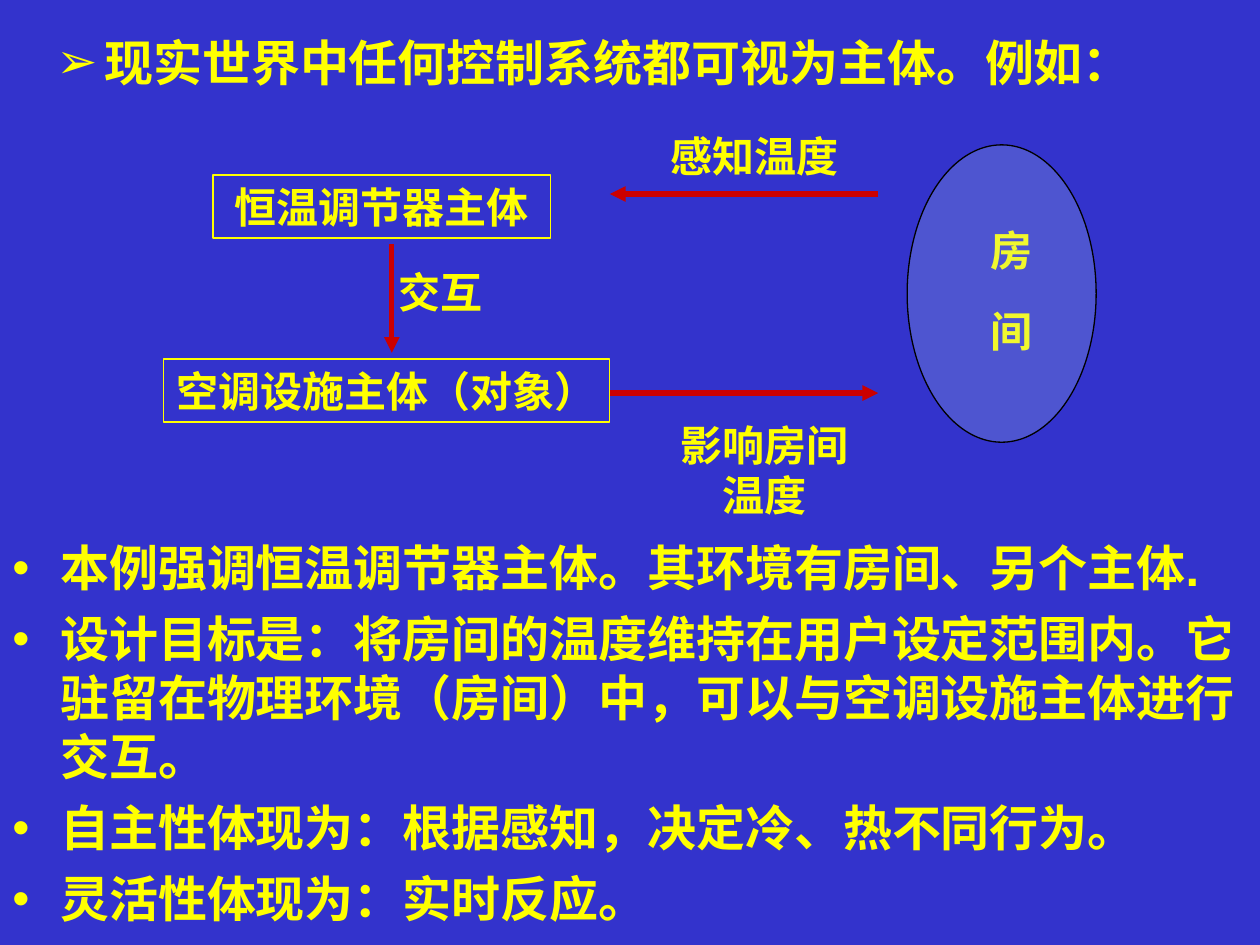
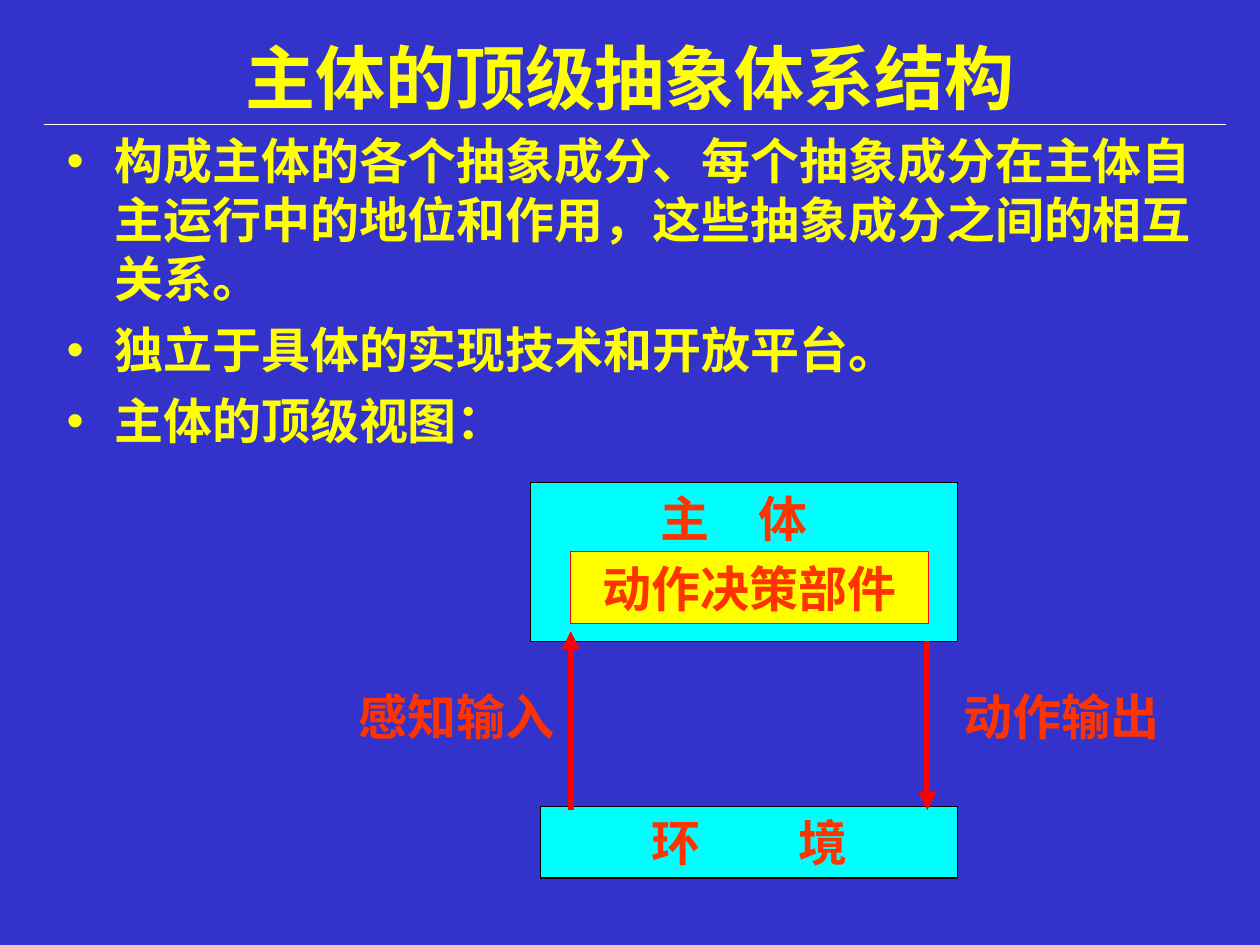
from lxml import etree
from pptx import Presentation
from pptx.dml.color import RGBColor
from pptx.enum.shapes import MSO_CONNECTOR, MSO_SHAPE
from pptx.enum.text import MSO_ANCHOR, PP_ALIGN
from pptx.oxml.ns import qn
from pptx.util import Inches, Pt

RECT, OVAL = MSO_SHAPE.RECTANGLE, MSO_SHAPE.OVAL
STRAIGHT = MSO_CONNECTOR.STRAIGHT
TOP, MIDDLE = MSO_ANCHOR.TOP, MSO_ANCHOR.MIDDLE
LEFT, CENTER = PP_ALIGN.LEFT, PP_ALIGN.CENTER

BLUE = RGBColor(0x33, 0x33, 0xCC)
YELLOW = RGBColor(0xFF, 0xFF, 0x00)
CYAN = RGBColor(0x00, 0xFF, 0xFF)
PALE = RGBColor(0xBB, 0xE0, 0xE3)
ORANGE = RGBColor(0xFF, 0x33, 0x00)
RED = RGBColor(0xFF, 0x00, 0x00)
DARK_RED = RGBColor(0xCC, 0x00, 0x00)
BLACK = RGBColor(0x00, 0x00, 0x00)
WHITE = RGBColor(0xFF, 0xFF, 0xFF)
FONT = "Arial"

prs = Presentation()
prs.slide_width, prs.slide_height = Inches(10), Inches(7.5)
# Grid of 100 columns by 75 rows
COL, ROW = prs.slide_width / 100, prs.slide_height / 75


def add_text(s, text, x, y, w, h, size=24, color=YELLOW, align=CENTER, anchor=TOP,
             shape=None, fill=None, line=None, bullet=None, gap=7, spread=0):
    """Place text (one string or a list of paragraphs), in a preset shape if one is given."""
    box = (int(x * COL), int(y * ROW), int(w * COL), int(h * ROW))
    if shape is None:
        sp = s.shapes.add_textbox(*box)
    else:
        sp = s.shapes.add_shape(shape, *box)
        sp.shadow.inherit = False
        sp.line.color.rgb = line
        sp.line.width = Pt(0.75)
        if fill is None:
            sp.fill.background()
        else:
            sp.fill.solid()
            sp.fill.fore_color.rgb = fill
    tf = sp.text_frame
    tf.word_wrap = True
    tf.vertical_anchor = anchor
    for i, content in enumerate([text] if isinstance(text, str) else text):
        p = tf.paragraphs[0] if i == 0 else tf.add_paragraph()
        p.alignment = align
        if i:
            p.space_before = Pt(gap)
        if bullet:
            pPr = p._p.get_or_add_pPr()
            pPr.set("marL", str(Inches(0.38)))
            pPr.set("indent", str(-Inches(0.38)))
            clr = etree.SubElement(pPr, qn("a:buClr"))
            etree.SubElement(clr, qn("a:srgbClr"), val=str(color))
            etree.SubElement(pPr, qn("a:buFont"), typeface=FONT)
            etree.SubElement(pPr, qn("a:buChar"), char=bullet)
        # Letter spacing goes after every letter but the last
        parts = [(content[:-1], spread), (content[-1], 0)] if spread else [(content, 0)]
        for part, spacing in parts:
            r = p.add_run()
            r.text = part
            r.font.name, r.font.size, r.font.bold = FONT, Pt(size), True
            r.font.color.rgb = color
            rPr = r._r.get_or_add_rPr()
            etree.SubElement(rPr, qn("a:ea"), typeface=FONT)
            if spacing:
                rPr.set("spc", str(spacing * 100))
    return sp


def add_line(s, x1, y1, x2, y2, color, width, arrow=True):
    ln = s.shapes.add_connector(STRAIGHT, int(x1 * COL), int(y1 * ROW),
                                int(x2 * COL), int(y2 * ROW))
    ln.line.color.rgb = color
    ln.line.width = Pt(width)
    if arrow:
        etree.SubElement(ln.line._get_or_add_ln(), qn("a:tailEnd"), type="triangle")
    etree.SubElement(ln._element.spPr, qn("a:effectLst"))


# Two blank slides on the shared background
for _ in range(2):
    s = prs.slides.add_slide(prs.slide_layouts[6])
    s.background.fill.solid()
    s.background.fill.fore_color.rgb = BLUE
example, structure = prs.slides

# Slide 1: heading
s = example
add_text(s, "现实世界中任何控制系统都可视为主体。例如：", 3.5, 2.1, 90, 7.9,
         size=28, align=LEFT, bullet="➢")

# Room under a translucent ellipse
add_text(s, ["房", "间"], 77.3, 17.3, 6, 12, gap=17.5)
room = add_text(s, [], 72, 11.5, 15, 23.6, shape=OVAL, fill=PALE, line=BLACK)
room_color = room._element.spPr.find(qn("a:solidFill"))[0]
etree.SubElement(room_color, qn("a:alpha"), val="20000")

# Agents
for text, x, y, w in (("恒温调节器主体", 16.9, 13.9, 26.8),
                      ("空调设施主体（对象）", 13, 28.5, 35.4)):
    add_text(s, text, x, y, w, 5, shape=RECT, line=YELLOW)

# Arrows and their labels
for ends in ((69.7, 15.4, 48.4, 15.4), (48.4, 31.2, 69.7, 31.2), (31.1, 19.4, 31.1, 28)):
    add_line(s, *ends, DARK_RED, 3)
for text, x, y, w, h in (("感知温度", 51.6, 9.9, 16.5, 5),
                         ("影响房间温度", 52.4, 32.8, 16.5, 9),
                         ("交互", 28.7, 20.7, 12.6, 5)):
    add_text(s, text, x, y, w, h)

# Explanation
add_text(s, ["本例强调恒温调节器主体。其环境有房间、另个主体.",
             "设计目标是：将房间的温度维持在用户设定范围内。它驻留在物理环境（房间）中，"
             "可以与空调设施主体进行交互。",
             "自主性体现为：根据感知，决定冷、热不同行为。",
             "灵活性体现为：实时反应。"],
         0, 42.2, 100, 30.4, size=28, align=LEFT, bullet="•")

# Slide 2: title and body
s = structure
add_text(s, "主体的顶级抽象体系结构", 5, 3, 90, 6.1, size=40, anchor=MIDDLE)
add_text(s, ["构成主体的各个抽象成分、每个抽象成分在主体自主运行中的地位和作用，"
             "这些抽象成分之间的相互关系。",
             "独立于具体的实现技术和开放平台。",
             "主体的顶级视图："],
         4.3, 9.9, 93.7, 26.8, size=28, align=LEFT, bullet="•")

# Agent, its decision part and the environment
label = dict(size=28, color=ORANGE)
add_text(s, [], 42.1, 38.3, 33.9, 12.6, shape=RECT, fill=CYAN, line=BLACK)
add_text(s, "动作决策部件", 45.3, 43.8, 28.4, 5.7, shape=RECT, fill=YELLOW, line=RED, **label)
add_text(s, "环　境", 42.9, 64, 33.1, 5.7, shape=RECT, fill=CYAN, line=BLACK, spread=14, **label)

# Input and output arrows with labels
add_line(s, 45.3, 64.3, 45.3, 50.1, RED, 3.5)
add_line(s, 73.6, 50.9, 73.6, 64.3, RED, 3.5)
for text, x, y, w in (("感知输入", 27.2, 54, 18.1), ("动作输出", 75.2, 54, 18.1),
                      ("主　体", 50, 38.3, 16.5)):
    add_text(s, text, x, y, w, 5.7, **label)

# Rule under the title
add_line(s, 3.5, 9.9, 97.3, 9.9, WHITE, 0.75, arrow=False)

prs.save("out.pptx")
